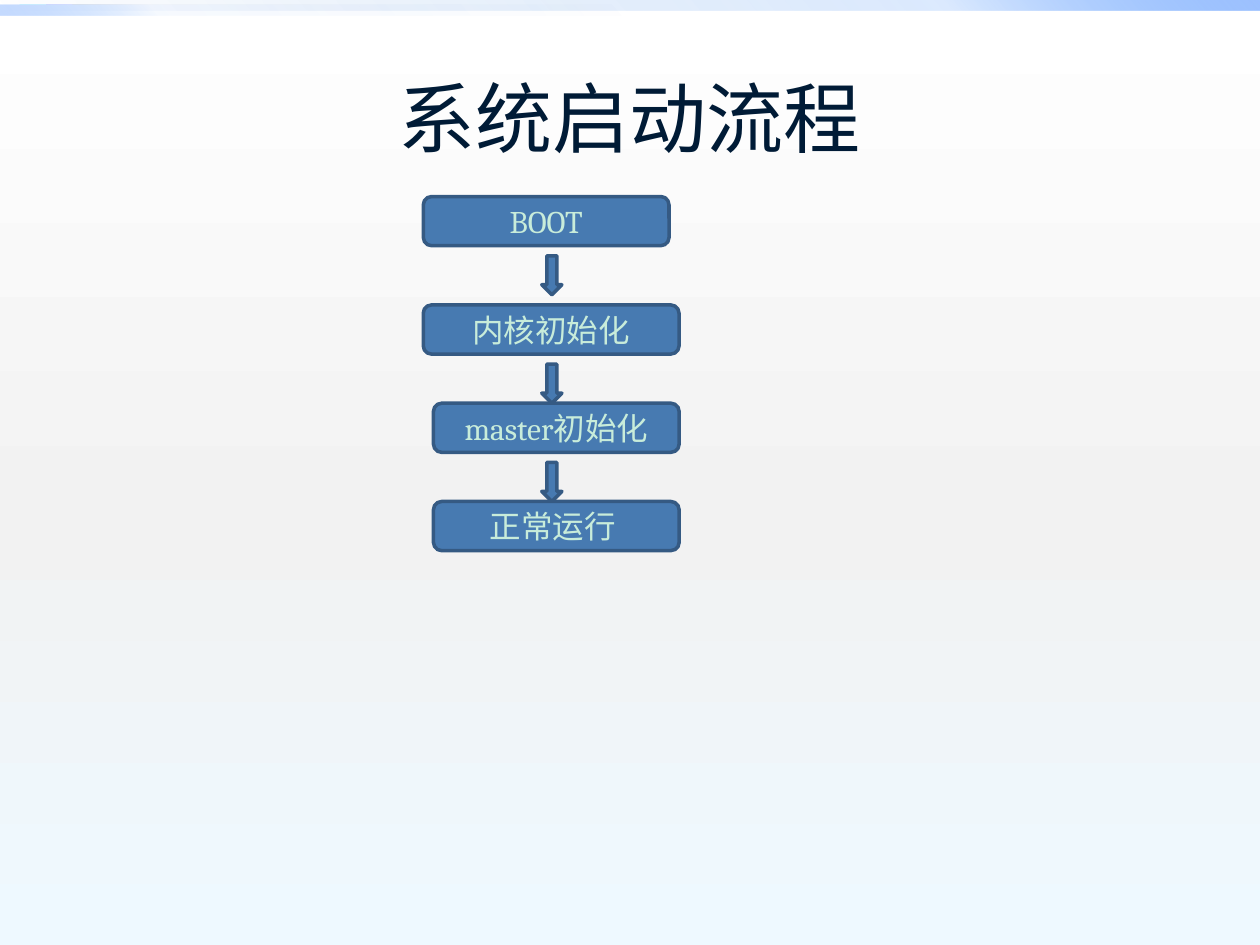
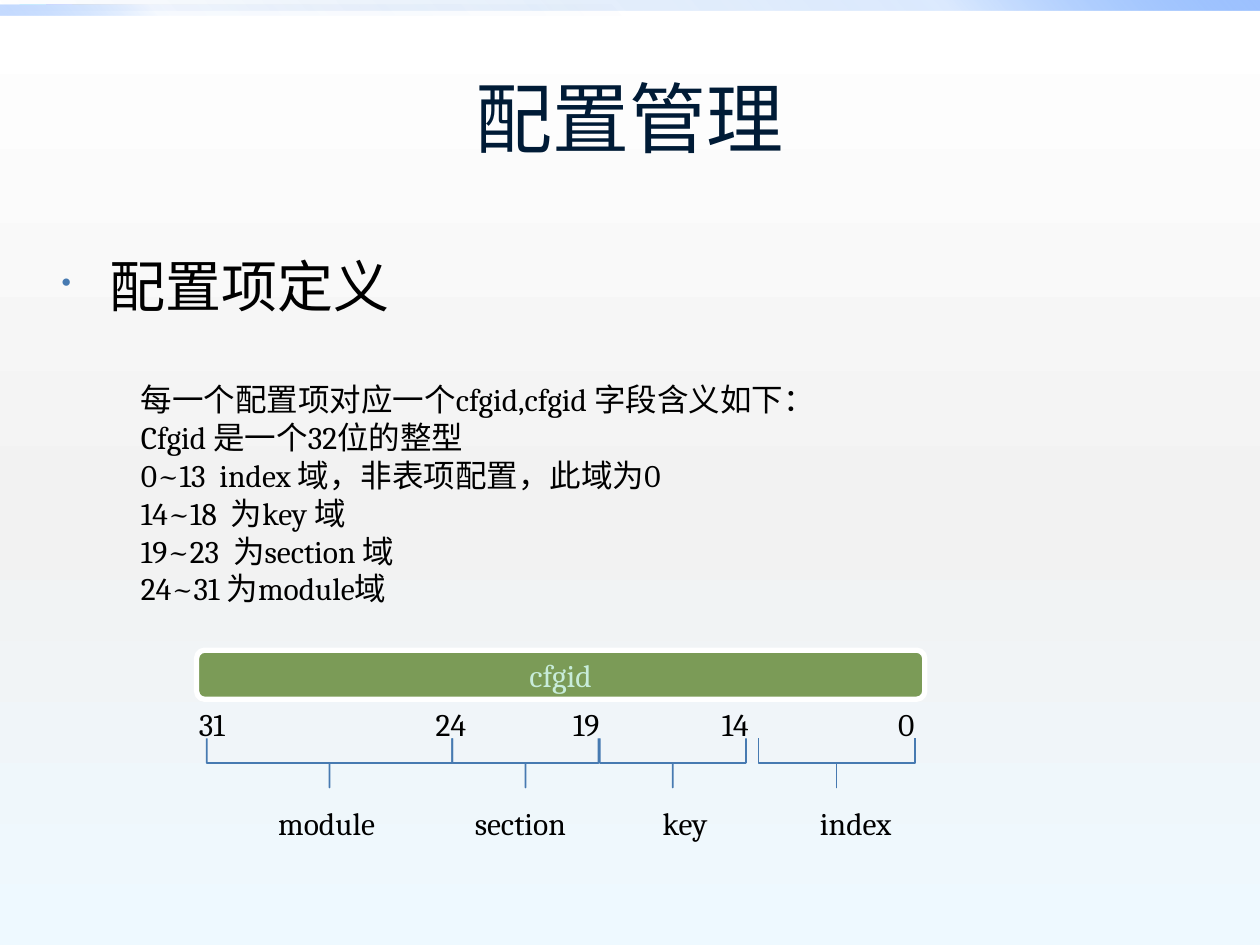
import pptx
import pptx.util
import pptx.dml.color
import pptx.enum.shapes
import pptx.enum.text
import pptx.oxml
import pptx.oxml.ns

Inches = pptx.util.Inches
Pt = pptx.util.Pt
RGBColor = pptx.dml.color.RGBColor
Kind = pptx.enum.shapes.MSO_SHAPE
Align = pptx.enum.text.PP_ALIGN
Anchor = pptx.enum.text.MSO_ANCHOR
Fit = pptx.enum.text.MSO_AUTO_SIZE
qn = pptx.oxml.ns.qn

# Colours
NAVY = RGBColor(0x00, 0x1B, 0x36)
BLACK = RGBColor(0x00, 0x00, 0x00)
WHITE = RGBColor(0xFF, 0xFF, 0xFF)
BLUE = RGBColor(0x47, 0x7A, 0xB1)
EDGE = RGBColor(0x35, 0x5A, 0x83)
MINT = RGBColor(0xC8, 0xEC, 0xDA)
GREEN = RGBColor(0x7B, 0x9B, 0x57)
GREY = RGBColor(0xF2, 0xF2, 0xF2)
ICE = RGBColor(0xEE, 0xF9, 0xFF)
DEEP = RGBColor(0x00, 0x58, 0xB7)
SKY = RGBColor(0x4F, 0x95, 0xFF)
PALE = RGBColor(0x9E, 0xC2, 0xFF)

# Gradients: position, colour, opacity in percent
PAGE = [(0, WHITE, 100), (55, GREY, 100), (100, ICE, 100)]
BANDS = [
    ((0, 0, 10, 0.08), [(0, DEEP, 0), (75, SKY, 20), (100, PALE, 100)], 315),
    ((0, 0.04, 5, 0.08), [(0, DEEP, 0), (75, SKY, 5), (100, PALE, 60)], 135),
]

BAR_H = 0.39


def node(xml):
    """Parse one drawing element inside a wrapper that holds the namespace."""
    space = "http://schemas.openxmlformats.org/drawingml/2006/main"
    return pptx.oxml.parse_xml(f'<a:p xmlns:a="{space}">{xml}</a:p>')[0]


def blend(fill, root, stops, angle):
    """Give a fill under root a linear gradient."""
    fill.solid()
    marks = "".join(
        f'<a:gs pos="{at * 1000}"><a:srgbClr val="{tint}">'
        f'<a:alpha val="{alpha * 1000}"/></a:srgbClr></a:gs>'
        for at, tint, alpha in stops)
    flat = root.find(".//" + qn("a:solidFill"))
    flat.getparent().replace(flat, node(
        f'<a:gradFill rotWithShape="1"><a:gsLst>{marks}</a:gsLst>'
        f'<a:lin ang="{angle * 60000}" scaled="0"/></a:gradFill>'))


def write(frame, text, size=18, font="Cambria", color=BLACK,
          align=Align.LEFT, anchor=Anchor.TOP, wrap=True):
    frame.word_wrap = wrap
    frame.vertical_anchor = anchor
    frame.text = text
    for para in frame.paragraphs:
        para.alignment = align
        for run in para.runs:
            run.font.size = Pt(size)
            run.font.name = font
            run.font.color.rgb = color


def note(slide, box, text, **look):
    frame = slide.shapes.add_textbox(*map(Inches, box)).text_frame
    write(frame, text, **look)
    return frame


def shape(slide, kind, box, fill=None, line=None, width=2):
    item = slide.shapes.add_shape(kind, *map(Inches, box))
    item.shadow.inherit = False
    if fill is None:
        item.fill.background()
    else:
        item.fill.solid()
        item.fill.fore_color.rgb = fill
    if line is None:
        item.line.fill.background()
    else:
        item.line.color.rgb = line
        item.line.width = Pt(width)
    return item


def bar(slide, box, text, fill=BLUE, line=EDGE, width=2):
    item = shape(slide, Kind.ROUNDED_RECTANGLE, box, fill, line, width)
    write(item.text_frame, text, color=MINT, align=Align.CENTER,
          anchor=Anchor.MIDDLE)


def brace(slide, left, top, span):
    """Draw a brace that opens upward over the given span."""
    box = (left + (span - BAR_H) / 2, top + (BAR_H - span) / 2, BAR_H, span)
    item = shape(slide, Kind.RIGHT_BRACE, box, line=BLUE, width=1)
    item.adjustments[0] = 0
    item.adjustments[1] = 0.5
    item.rotation = 90


def bullet(para):
    props = para._p.get_or_add_pPr()
    props.set("marL", str(Inches(0.38)))
    props.set("indent", str(-Inches(0.38)))
    for xml in ('<a:spcBef><a:spcPct val="20000"/></a:spcBef>',
                f'<a:buClr><a:srgbClr val="{BLUE}"/></a:buClr>',
                '<a:buSzPct val="50000"/>',
                '<a:buChar char="•"/>'):
        props.append(node(xml))


def page(deck, title):
    """Add a slide with the shared backdrop, bands and title."""
    slide = deck.slides.add_slide(deck.slide_layouts[6])
    blend(slide.background.fill, slide.element, PAGE, 90)
    for box, stops, angle in BANDS:
        band = shape(slide, Kind.RECTANGLE, box)
        blend(band.fill, band.element, stops, angle)
    note(slide, (0.5, 0.3, 9, 1.25), title, size=44, font="Calibri",
         color=NAVY, align=Align.CENTER, anchor=Anchor.MIDDLE)
    return slide


def startup(deck):
    slide = page(deck, "系统启动流程")
    steps = [
        (3.36, 1.56, 1.95, "BOOT"),
        (3.36, 2.42, 2.03, "内核初始化"),
        (3.44, 3.2, 1.95, "master初始化"),
        (3.44, 3.98, 1.95, "正常运行 "),
    ]
    for left, top, width, text in steps:
        bar(slide, (left, top, width, BAR_H), text)
    # An arrow below every step but the last
    for _, top, _, _ in steps[:-1]:
        shape(slide, Kind.DOWN_ARROW, (4.3, top + 0.47, 0.16, 0.31),
              BLUE, EDGE)


def config(deck):
    slide = page(deck, "配置管理")
    head = note(slide, (0.39, 1.95, 9, 0.8), "配置项定义", size=32)
    bullet(head.paragraphs[0])
    note(slide, (1.02, 2.97, 6.09, 2.22), "\n".join([
        "每一个配置项对应一个cfgid,cfgid 字段含义如下：",
        "Cfgid 是一个32位的整型",
        "0~13  index 域，非表项配置，此域为0",
        "14~18  为key 域",
        "19~23  为section 域",
        "24~31 为module域",
    ]))

    # Bit layout
    bar(slide, (1.56, 5.16, 5.78, BAR_H), "cfgid", GREEN, WHITE, 3)
    for left, bit in [(1.48, "31"), (3.36, "24"), (4.45, "19"),
                      (5.63, "14"), (7.03, "0")]:
        note(slide, (left, 5.55, 0.48, 0.4), bit)

    # Fields: brace left and span, label left and width
    fields = [
        ("module", 1.64, 1.95, 2.11, 1.02),
        ("section", 3.59, 1.16, 3.67, 0.97),
        ("key", 4.76, 1.16, 5.16, 0.58),
        ("index", 6.02, 1.24, 6.41, 0.8),
    ]
    for name, left, span, start, width in fields:
        brace(slide, left, 5.86, span)
        label = note(slide, (start, 6.33, width, 0.4), name, wrap=False)
        label.auto_size = Fit.SHAPE_TO_FIT_TEXT


def main():
    deck = pptx.Presentation()
    deck.slide_width = Inches(10)
    deck.slide_height = Inches(7.5)
    startup(deck)
    config(deck)
    deck.save("out.pptx")


if __name__ == "__main__":
    main()
